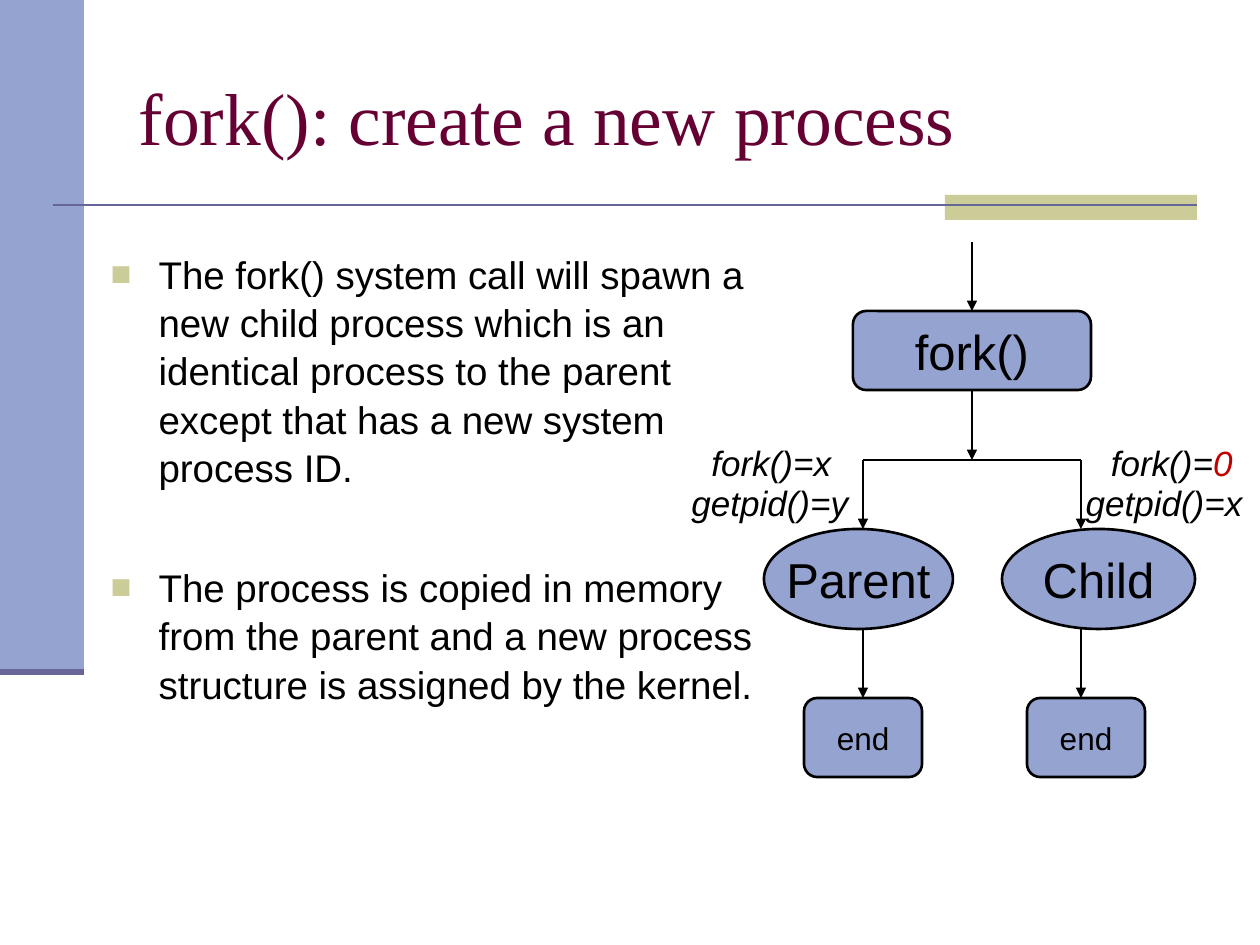
from typing import NamedTuple

import lxml.etree
import pptx
import pptx.dml.color
import pptx.enum.shapes
import pptx.enum.text
import pptx.oxml.ns
import pptx.util

RGB = pptx.dml.color.RGBColor
SHAPE = pptx.enum.shapes.MSO_SHAPE
ALIGN = pptx.enum.text.PP_ALIGN
MIDDLE = pptx.enum.text.MSO_ANCHOR.MIDDLE
Pt = pptx.util.Pt
qn = pptx.oxml.ns.qn

BLUE = RGB(0x95, 0xA3, 0xD1)
TAN = RGB(0xCC, 0xCC, 0x99)
PURPLE = RGB(0x66, 0x66, 0x99)
MAROON = RGB(0x66, 0x00, 0x33)
RED = RGB(0xC0, 0x00, 0x00)
BLACK = RGB(0x00, 0x00, 0x00)

PX_PER_INCH = 126


class Box(NamedTuple):
    x: int
    y: int
    w: int
    h: int


class Node(NamedTuple):
    kind: int
    box: Box
    text: str
    size: int


class Line(NamedTuple):
    x1: int
    y1: int
    x2: int
    y2: int
    color: RGB = BLACK
    width: float = 1.5
    arrow: bool = False


class Label(NamedTuple):
    box: Box
    align: int
    runs: tuple


# Flowchart levels (y) and centre lines (x)
START, FORK, FORK_END, SPLIT, ELLIPSE, ELLIPSE_END, END = 242, 311, 391, 460, 529, 629, 698
TRUNK, PARENT, CHILD = 972, 863, 1081

DECOR_LINES = [
    Line(53, 205, 1197, 205, PURPLE),
    Line(0, 672, 84, 672, PURPLE, 3.5),
]
NODES = [
    Node(SHAPE.ROUNDED_RECTANGLE, Box(853, FORK, 238, 79), "fork()", 28),
    Node(SHAPE.OVAL, Box(764, ELLIPSE, 189, 100), "Parent", 28),
    Node(SHAPE.OVAL, Box(1002, ELLIPSE, 193, 100), "Child", 28),
    Node(SHAPE.ROUNDED_RECTANGLE, Box(804, END, 118, 79), "end", 18),
    Node(SHAPE.ROUNDED_RECTANGLE, Box(1027, END, 118, 79), "end", 18),
]
ARROWS = [
    (TRUNK, START, FORK),
    (TRUNK, FORK_END, SPLIT),
    *((x, y1, y2) for x in (PARENT, CHILD)
      for y1, y2 in ((SPLIT, ELLIPSE), (ELLIPSE_END, END))),
]
FLOW_LINES = [Line(PARENT, SPLIT, CHILD, SPLIT)]
FLOW_LINES += [Line(x, y1, x, y2, arrow=True) for x, y1, y2 in ARROWS]
LABELS = [
    Label(Box(699, 435, 159, 55), ALIGN.LEFT, (("fork()=x", BLACK),)),
    Label(Box(679, 475, 218, 55), ALIGN.LEFT, (("getpid()=y", BLACK),)),
    Label(Box(1086, 435, 159, 55), ALIGN.RIGHT, (("fork()=", BLACK), ("0", RED))),
    Label(Box(1066, 475, 189, 55), ALIGN.RIGHT, (("getpid()=x", BLACK),)),
]
BULLETS = [
    "The fork() system call will spawn a new child process which is an identical "
    "process to the parent except that has a new system process ID.",
    "The process is copied in memory from the parent and a new process structure "
    "is assigned by the kernel.",
]


def px(n: int) -> int:
    return round(n * pptx.util.Inches(1) / PX_PER_INCH)


def place(sp, box: Box) -> None:
    sp.left, sp.top, sp.width, sp.height = map(px, box)


def style(r, size: int, color: RGB = BLACK, name: str = "Arial", italic: bool = False) -> None:
    r.font.size = Pt(size)
    r.font.name = name
    r.font.color.rgb = color
    r.font.italic = italic


def add_shape(s, kind: int, box: Box, fill: RGB):
    sp = s.shapes.add_shape(kind, *map(px, box))
    sp.shadow.inherit = False
    sp.fill.solid()
    sp.fill.fore_color.rgb = fill
    sp.line.fill.background()
    return sp


def add_node(s, node: Node) -> None:
    sp = add_shape(s, node.kind, node.box, BLUE)
    sp.line.color.rgb = BLACK
    sp.line.width = Pt(1.5)
    tf = sp.text_frame
    tf.text = node.text
    tf.word_wrap = False
    tf.vertical_anchor = MIDDLE
    p = tf.paragraphs[0]
    p.alignment = ALIGN.CENTER
    style(p.runs[0], node.size)


def add_line(s, line: Line) -> None:
    cx = s.shapes.add_connector(
        pptx.enum.shapes.MSO_CONNECTOR.STRAIGHT,
        px(line.x1), px(line.y1), px(line.x2), px(line.y2))
    cx.line.color.rgb = line.color
    cx.line.width = Pt(line.width)
    if line.arrow:
        lxml.etree.SubElement(cx.line._get_or_add_ln(), qn("a:tailEnd"), type="triangle")
    lxml.etree.SubElement(cx._element.spPr, qn("a:effectLst"))


def add_label(s, label: Label) -> None:
    tf = s.shapes.add_textbox(*map(px, label.box)).text_frame
    tf.word_wrap = True
    p = tf.paragraphs[0]
    p.alignment = label.align
    for text, color in label.runs:
        r = p.add_run()
        r.text = text
        style(r, 20, color, italic=True)


def add_bullet(p) -> None:
    """Give the paragraph a tan square bullet with a hanging indent."""
    pPr = p._p.get_or_add_pPr()
    pPr.set("marL", str(px(48)))
    pPr.set("indent", str(px(-48)))
    clr = lxml.etree.SubElement(pPr, qn("a:buClr"))
    lxml.etree.SubElement(clr, qn("a:srgbClr"), val=str(TAN))
    lxml.etree.SubElement(pPr, qn("a:buSzPct"), val="90000")
    lxml.etree.SubElement(pPr, qn("a:buFont"), typeface="Arial")
    lxml.etree.SubElement(pPr, qn("a:buChar"), char="■")


def fill_title(title) -> None:
    place(title, Box(126, 38, 1071, 157))
    tf = title.text_frame
    tf.text = "fork(): create a new process"
    tf.vertical_anchor = MIDDLE
    p = tf.paragraphs[0]
    p.alignment = ALIGN.LEFT
    style(p.runs[0], 42, MAROON, "Times New Roman")


def fill_body(body) -> None:
    place(body, Box(98, 242, 683, 625))
    tf = body.text_frame
    tf.text = "\n".join(BULLETS)
    tf.auto_size = pptx.enum.text.MSO_AUTO_SIZE.NONE
    for i, p in enumerate(tf.paragraphs):
        add_bullet(p)
        p.line_spacing = 1.05
        p.space_before = Pt(40.5 if i else 0)
        style(p.runs[0], 22)


def main() -> None:
    prs = pptx.Presentation()
    prs.slide_width = pptx.util.Inches(10)
    prs.slide_height = pptx.util.Inches(7.5)
    s = prs.slides.add_slide(prs.slide_layouts[1])
    add_shape(s, SHAPE.RECTANGLE, Box(0, 0, 84, 672), BLUE)
    add_shape(s, SHAPE.RECTANGLE, Box(945, 195, 252, 25), TAN)
    for line in DECOR_LINES:
        add_line(s, line)
    fill_title(s.shapes.title)
    fill_body(s.placeholders[1])
    for node in NODES:
        add_node(s, node)
    for line in FLOW_LINES:
        add_line(s, line)
    for label in LABELS:
        add_label(s, label)
    prs.save("out.pptx")


if __name__ == "__main__":
    main()
